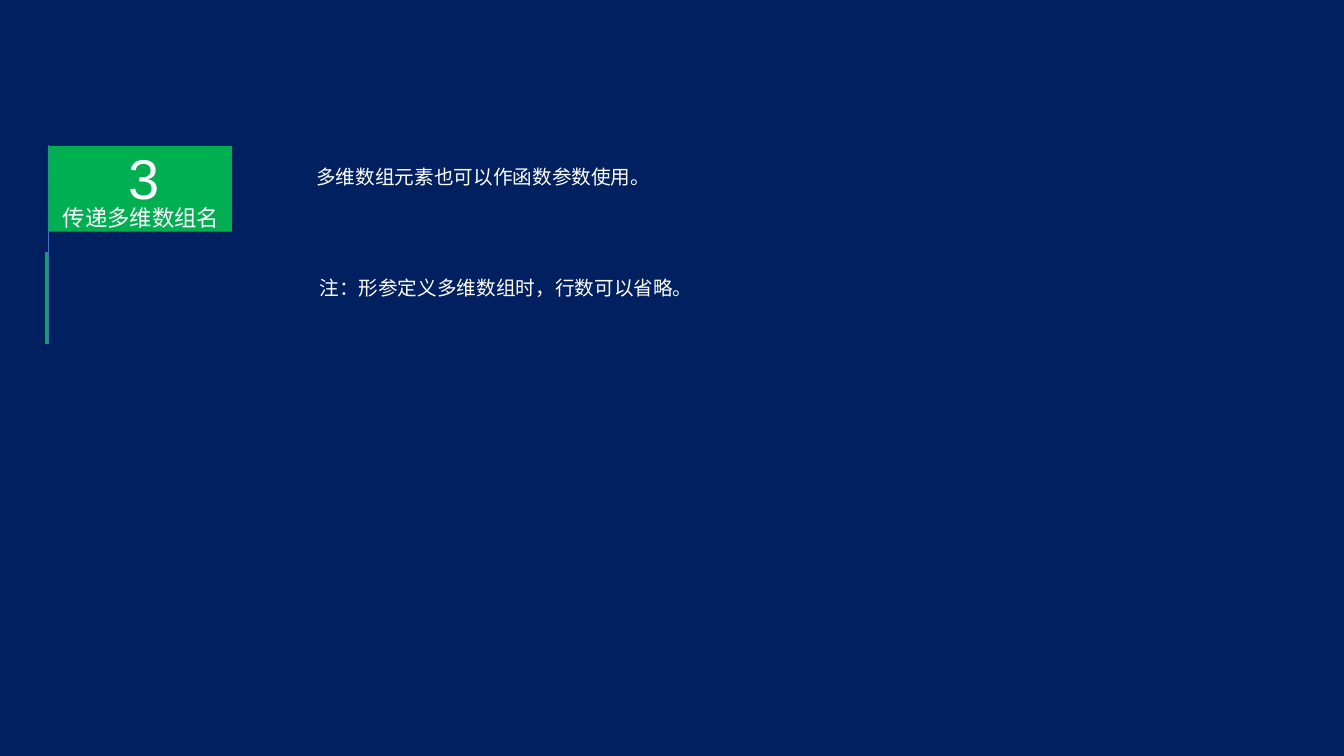
from lxml import etree
from pptx import Presentation, util as u
from pptx.dml.color import RGBColor
from pptx.enum import shapes, text
from pptx.oxml.ns import qn

WIDTH, HEIGHT = u.Inches(13.33), u.Inches(7.5)
NAVY, GREEN, BLUE, WHITE = "002060", "00B050", "4472C4", "FFFFFF"
LATIN, CJK = "Arial", "Noto Sans CJK SC"


def color(fmt, value):
    """Apply a hex colour to a colour format."""
    fmt.rgb = RGBColor.from_string(value)


def place(x, y, w, h):
    """Turn percentages of the slide into a position and size."""
    return [int(v * side / 100) for v, side in zip((x, y, w, h), (WIDTH, HEIGHT) * 2)]


def add_block(s, area, line_width=0):
    """Draw a green rectangle, outlined when a line width is given."""
    sp = s.shapes.add_shape(shapes.MSO_SHAPE.RECTANGLE, *place(*area))
    sp.shadow.inherit = False
    sp.fill.solid()
    color(sp.fill.fore_color, GREEN)
    if line_width:
        sp.line.width = u.Pt(line_width)
        color(sp.line.color, BLUE)
    else:
        sp.line.fill.background()


def add_rule(s, x, top, bottom):
    """Draw a thin vertical line."""
    x, top, _, bottom = place(x, top, 0, bottom)
    sp = s.shapes.add_connector(shapes.MSO_CONNECTOR.STRAIGHT, x, bottom, x, top)
    sp.line.width = u.Pt(0.5)
    color(sp.line.color, BLUE)
    etree.SubElement(sp._element.spPr, qn("a:effectLst"))


def add_text(s, area, words, size, font, wrap=True):
    """Write one white line of text and return its frame."""
    tf = s.shapes.add_textbox(*place(*area)).text_frame
    tf.text = words
    tf.word_wrap = wrap
    r = tf.paragraphs[0].runs[0]
    r.font.size, r.font.name = u.Pt(size), font
    color(r.font.color, WHITE)
    if font == CJK:
        etree.SubElement(r.font._element, qn("a:ea"), typeface=font)
    return tf


def add_tag_text(s, area, words, size):
    """Write centred text for the section tag."""
    tf = add_text(s, area, words, size, LATIN)
    tf.vertical_anchor = text.MSO_ANCHOR.MIDDLE
    tf.margin_left = tf.margin_right = u.Inches(0.14)
    tf.margin_top = tf.margin_bottom = u.Inches(0.07)
    p = tf.paragraphs[0]
    p.alignment, p.line_spacing = text.PP_ALIGN.CENTER, 1.3


def add_note(s, area, words, wrap):
    """Write a body sentence in a box that grows with it."""
    tf = add_text(s, area, words, 14, CJK, wrap)
    tf.auto_size = text.MSO_AUTO_SIZE.SHAPE_TO_FIT_TEXT


def main():
    """Build and save the slide."""
    prs = Presentation()
    prs.slide_width, prs.slide_height = WIDTH, HEIGHT
    s = prs.slides.add_slide(prs.slide_layouts[6])
    s.background.fill.solid()
    color(s.background.fill.fore_color, NAVY)
    add_rule(s, 3.6, 19.2, 45.47)
    add_block(s, (3.38, 33.47, 0.22, 12), line_width=1)
    add_block(s, (3.6, 19.33, 13.65, 11.33))
    add_tag_text(s, (2.78, 26, 15.45, 4.4), "传递多维数组名", 16)
    add_tag_text(s, (7.2, 18.27, 6.98, 7.73), "3", 40)
    add_note(s, (22.8, 21.2, 26.55, 4.53), "多维数组元素也可以作函数参数使用。", False)
    add_note(s, (23.03, 35.87, 35.33, 4.53), "注：形参定义多维数组时，行数可以省略。", True)
    prs.save("out.pptx")


if __name__ == "__main__":
    main()
